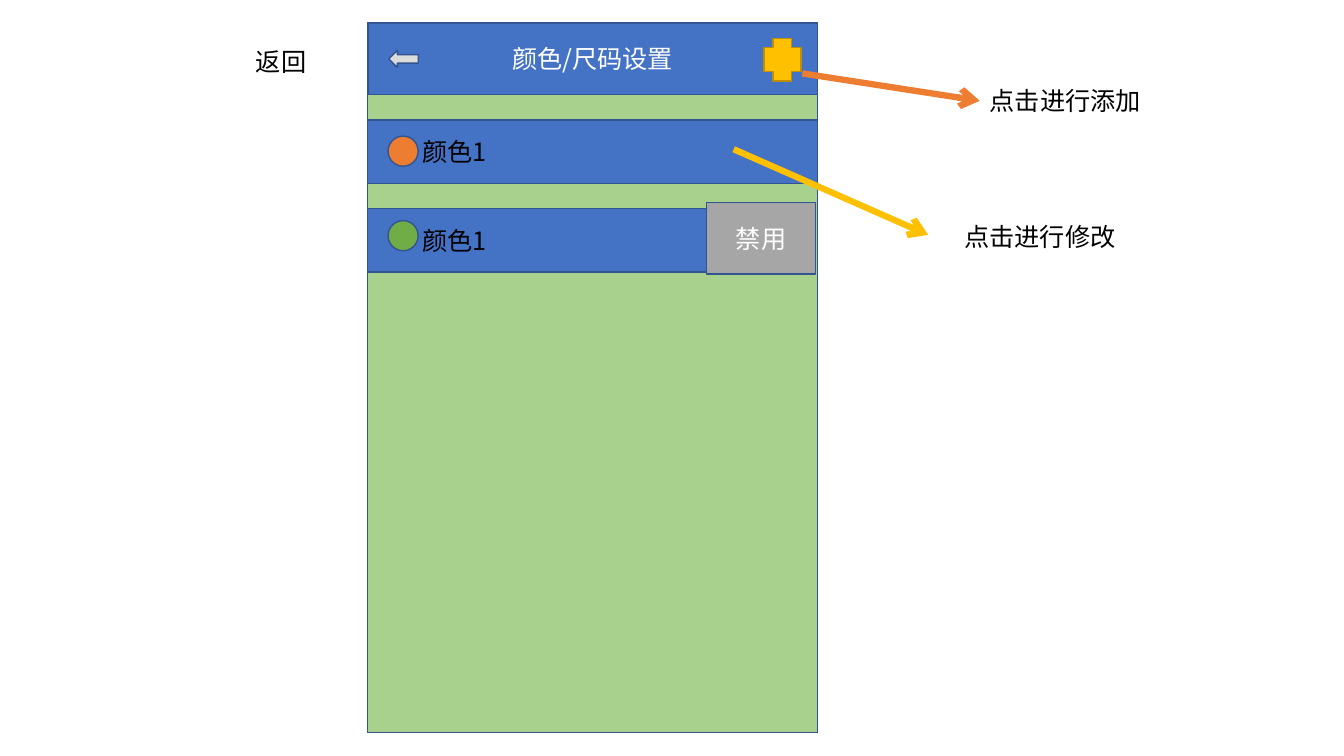
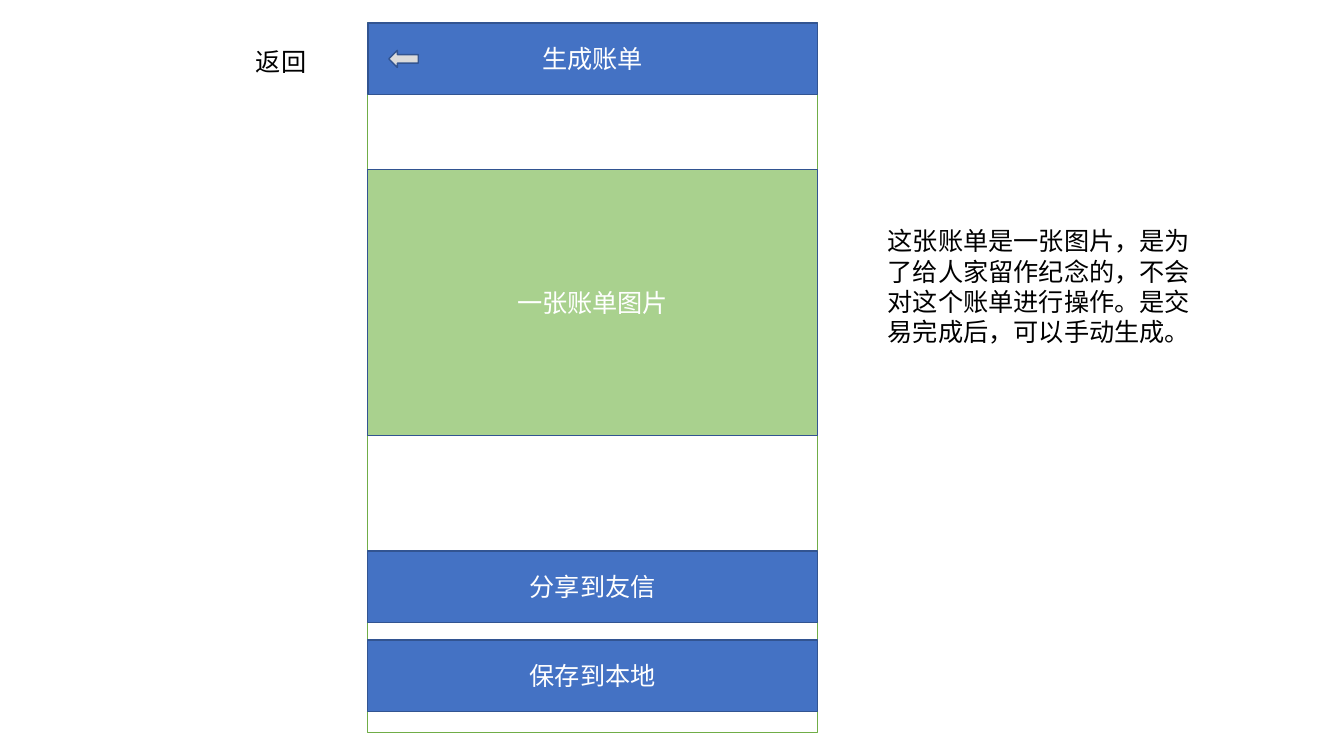
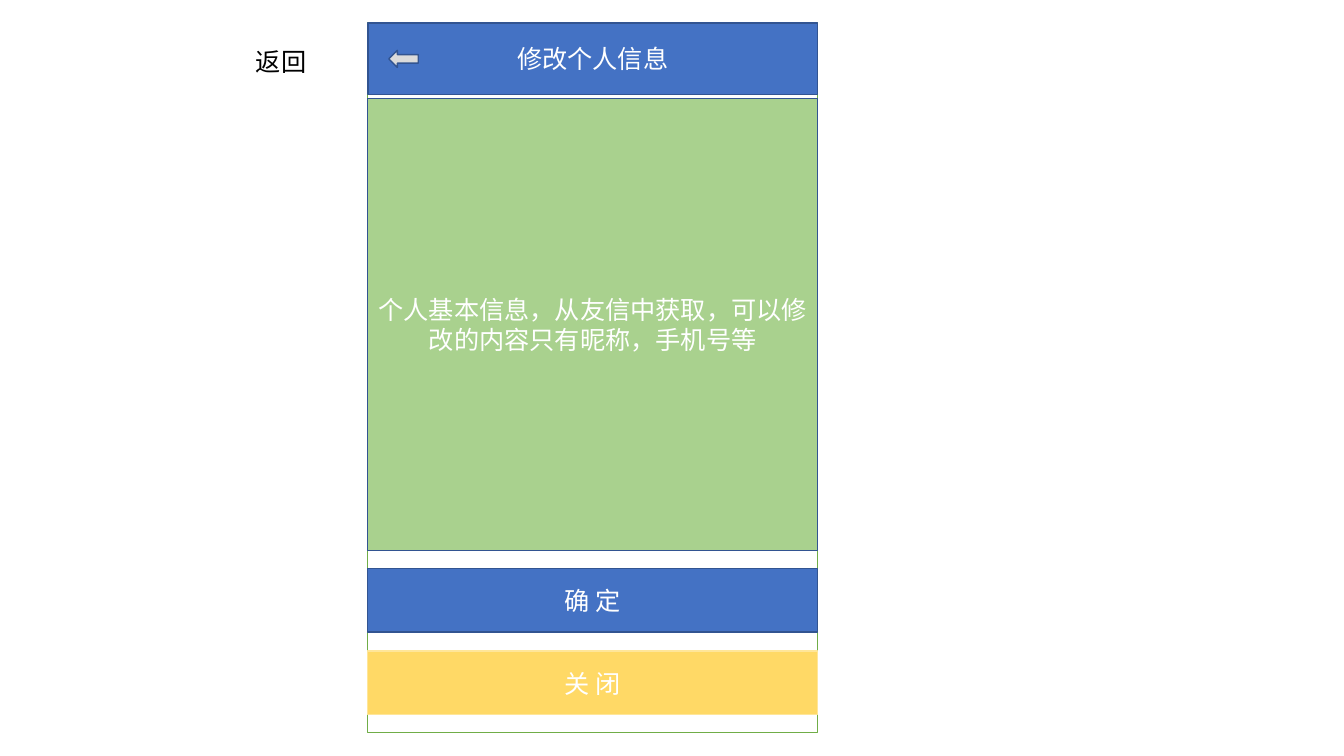
from pptx import Presentation
from pptx import util as u
from pptx.dml.color import RGBColor
from pptx.enum import shapes, text
from pptx.oxml.ns import qn
from lxml import etree

FONT = "Noto Sans CJK SC"
BLACK = RGBColor(0x00, 0x00, 0x00)
WHITE = RGBColor(0xFF, 0xFF, 0xFF)
BLUE = RGBColor(0x44, 0x72, 0xC4)
NAVY = RGBColor(0x32, 0x54, 0x91)
LIGHT_GREEN = RGBColor(0xA9, 0xD1, 0x8E)
GREEN = RGBColor(0x70, 0xAD, 0x47)
ORANGE = RGBColor(0xED, 0x7D, 0x31)
GOLD = RGBColor(0xFF, 0xC0, 0x00)
DARK_GOLD = RGBColor(0xBD, 0x8E, 0x00)
YELLOW = RGBColor(0xFF, 0xD9, 0x66)
PALE_YELLOW = RGBColor(0xFF, 0xE6, 0x99)
GRAY = RGBColor(0xA6, 0xA6, 0xA6)
LIGHT_GRAY = RGBColor(0xDB, 0xDB, 0xDB)

# Content: lengths in centimetres
BACK = "返回"
COLOR_TITLE = "颜色/尺码设置"
COLOR_ROWS = [  # label, dot colour, dot top, row width
    ("颜色1", ORANGE, 3.43, 11.33),
    ("颜色1", GREEN, 5.56, 8.53),
]
DISABLE = "禁用"
COLOR_NOTES = [  # text, left, top, arrow start, arrow end, arrow colour
    ("点击进行修改", 24.05, 5.44, (18.49, 3.76), (23.39, 5.92), GOLD),
    ("点击进行添加", 24.69, 2.03, (20.22, 1.85), (24.69, 2.54), ORANGE),
]
BILL_TITLE = "生成账单"
BILL_PANEL = "一张账单图片"
BILL_BUTTONS = ["分享到友信", "保存到本地"]
BILL_NOTE = ("这张账单是一张图片，是为了给人家留作纪念的，不会对这个账单进行操作。"
             "是交易完成后，可以手动生成。")
PROFILE_TITLE = "修改个人信息"
PROFILE_PANEL = "个人基本信息，从友信中获取，可以修改的内容只有昵称，手机号等"
PROFILE_BUTTONS = [("确 定", BLUE, NAVY), ("关 闭", YELLOW, PALE_YELLOW)]

# Phone screen geometry
LEFT, TOP, WIDTH, HEIGHT = 9.27, 0.58, 11.33, 17.88
BAR_HEIGHT, ROW_HEIGHT = 1.8, 1.6
BODY_TOP = TOP + BAR_HEIGHT

presentation = Presentation()
presentation.slide_width, presentation.slide_height = u.Cm(33.87), u.Cm(19.05)


def write(shape, words, color=WHITE, align=text.PP_ALIGN.CENTER,
          anchor=text.MSO_ANCHOR.MIDDLE, indent=0.25):
    frame = shape.text_frame
    frame.word_wrap = True
    frame.auto_size = text.MSO_AUTO_SIZE.NONE
    frame.vertical_anchor = anchor
    frame.margin_left, frame.margin_right = u.Cm(indent), u.Cm(0.25)
    frame.margin_top = frame.margin_bottom = u.Cm(0.13)
    paragraph = frame.paragraphs[0]
    paragraph.alignment = align
    run = paragraph.add_run()
    run.text = words
    run.font.size = u.Pt(18)
    run.font.name = FONT
    run.font.color.rgb = color
    east_asian = etree.SubElement(run.font._element, qn("a:ea"))
    east_asian.set("typeface", FONT)


def paint(shape, fill, line):
    shape.fill.solid()
    shape.fill.fore_color.rgb = fill
    shape.line.color.rgb = line
    shape.line.width = u.Pt(1)


def add_box(slide, left, top, width, height, fill=BLUE, line=NAVY, words="",
            kind=shapes.MSO_SHAPE.RECTANGLE, **text_format):
    shape = slide.shapes.add_shape(kind, u.Cm(left), u.Cm(top), u.Cm(width), u.Cm(height))
    shape.shadow.inherit = False
    paint(shape, fill, line)
    if words:
        write(shape, words, **text_format)


def add_note(slide, words, left, top, width, height=1.02):
    box = slide.shapes.add_textbox(u.Cm(left), u.Cm(top), u.Cm(width), u.Cm(height))
    write(box, words, color=BLACK, align=text.PP_ALIGN.LEFT, anchor=text.MSO_ANCHOR.TOP)


def add_arrow(slide, start, end, color):
    ends = [u.Cm(value) for value in (*start, *end)]
    arrow = slide.shapes.add_connector(shapes.MSO_CONNECTOR.STRAIGHT, *ends)
    arrow.line.color.rgb = color
    arrow.line.width = u.Pt(4.5)
    etree.SubElement(arrow.line._get_or_add_ln(), qn("a:tailEnd")).set("type", "arrow")
    etree.SubElement(arrow.element.spPr, qn("a:effectLst"))


def add_screen(title_words):
    """Add a slide with the phone frame, title bar and back button."""
    slide = presentation.slides.add_slide(presentation.slide_layouts[5])
    add_box(slide, LEFT, TOP, WIDTH, HEIGHT, fill=WHITE, line=GREEN)
    title = slide.shapes.title
    title.left, title.top = u.Cm(LEFT), u.Cm(TOP)
    title.width, title.height = u.Cm(WIDTH), u.Cm(BAR_HEIGHT)
    paint(title, BLUE, NAVY)
    write(title, title_words)
    title.element.getparent().append(title.element)  # bring the bar above the frame
    add_box(slide, 9.8, 1.27, 0.74, 0.43, fill=LIGHT_GRAY, kind=shapes.MSO_SHAPE.LEFT_ARROW)
    add_note(slide, BACK, 6.2, 1.04, 7.98)
    return slide


# Slide 1: colour and size settings
slide = add_screen(COLOR_TITLE)
add_box(slide, LEFT, BODY_TOP, WIDTH, HEIGHT - BAR_HEIGHT, fill=LIGHT_GREEN)
for index, (label, dot_color, dot_top, row_width) in enumerate(COLOR_ROWS):
    add_box(slide, LEFT, 3.02 + 2.24 * index, row_width, ROW_HEIGHT, words=label,
            color=BLACK, align=text.PP_ALIGN.LEFT, indent=1.37)
    add_box(slide, 9.78, dot_top, 0.76, 0.76, fill=dot_color, kind=shapes.MSO_SHAPE.OVAL)
add_box(slide, 17.81, 5.11, 2.74, BAR_HEIGHT, fill=GRAY, words=DISABLE)
add_box(slide, 19.25, 0.97, 0.94, 1.07, fill=GOLD, line=DARK_GOLD,
        kind=shapes.MSO_SHAPE.CROSS)
for words, left, top, start, end, color in COLOR_NOTES:
    add_arrow(slide, start, end, color)
    add_note(slide, words, left, top, 6.02)

# Slide 2: bill
slide = add_screen(BILL_TITLE)
add_box(slide, LEFT, 4.27, WIDTH, 6.71, fill=LIGHT_GREEN, words=BILL_PANEL)
for index, words in enumerate(BILL_BUTTONS):
    add_box(slide, LEFT, 13.89 + 2.24 * index, WIDTH, BAR_HEIGHT, words=words)
add_note(slide, BILL_NOTE, 22.12, 5.56, 8.59, 3.33)

# Slide 3: personal information
slide = add_screen(PROFILE_TITLE)
add_box(slide, LEFT, 2.49, WIDTH, 11.38, fill=LIGHT_GREEN, words=PROFILE_PANEL)
for index, (words, fill, line) in enumerate(PROFILE_BUTTONS):
    add_box(slide, LEFT, 14.33 + 2.08 * index, WIDTH, ROW_HEIGHT,
            fill=fill, line=line, words=words)

presentation.save("out.pptx")
